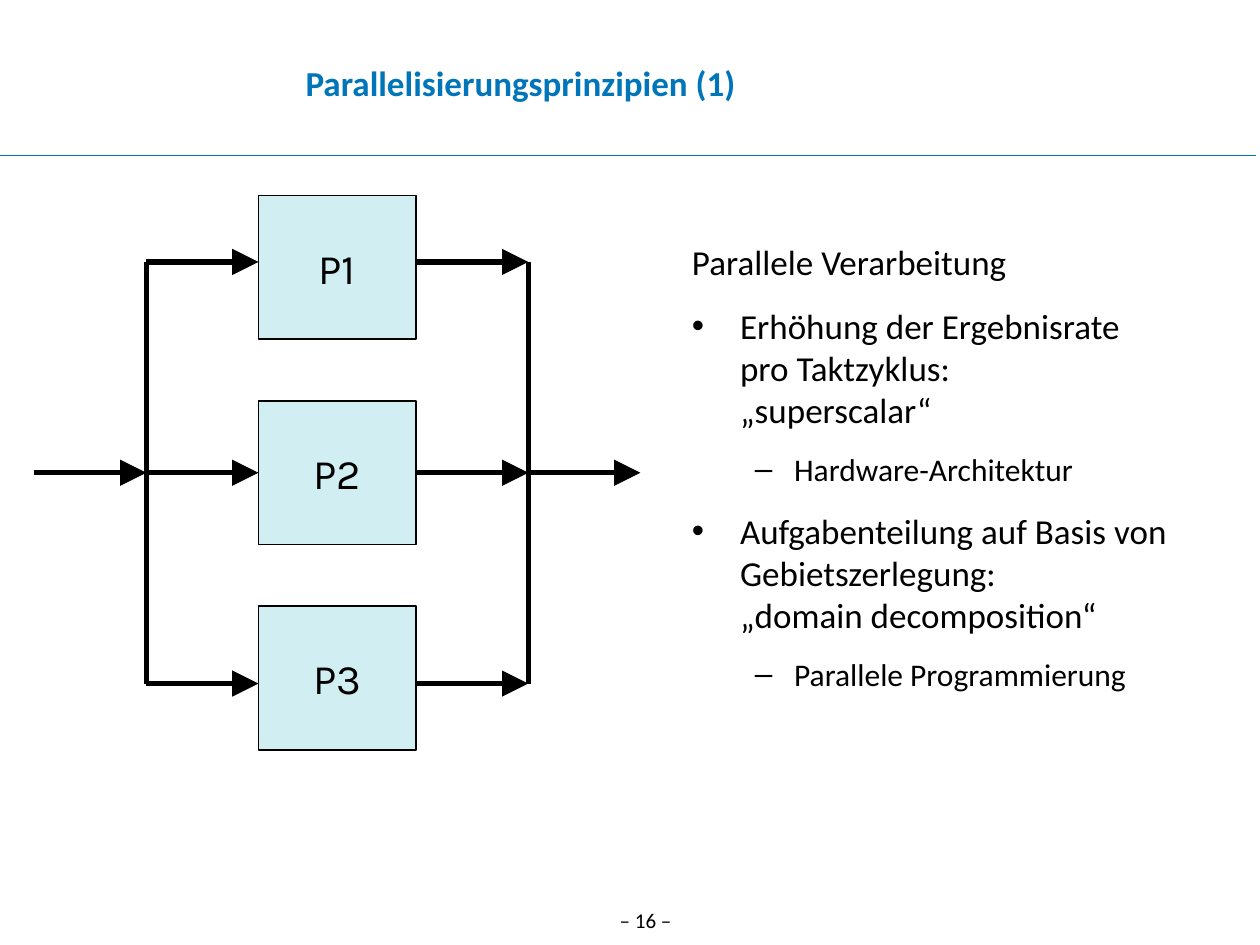
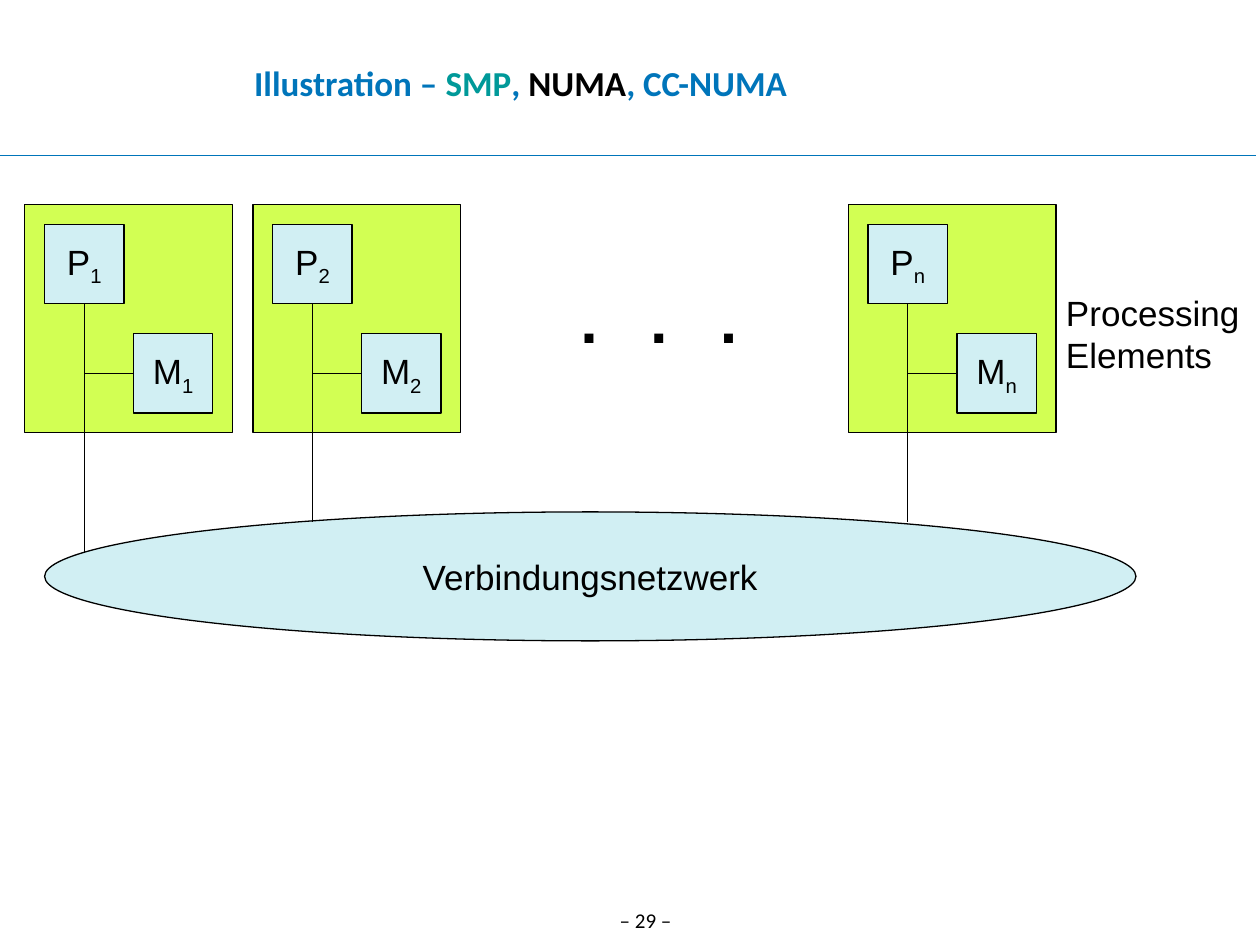
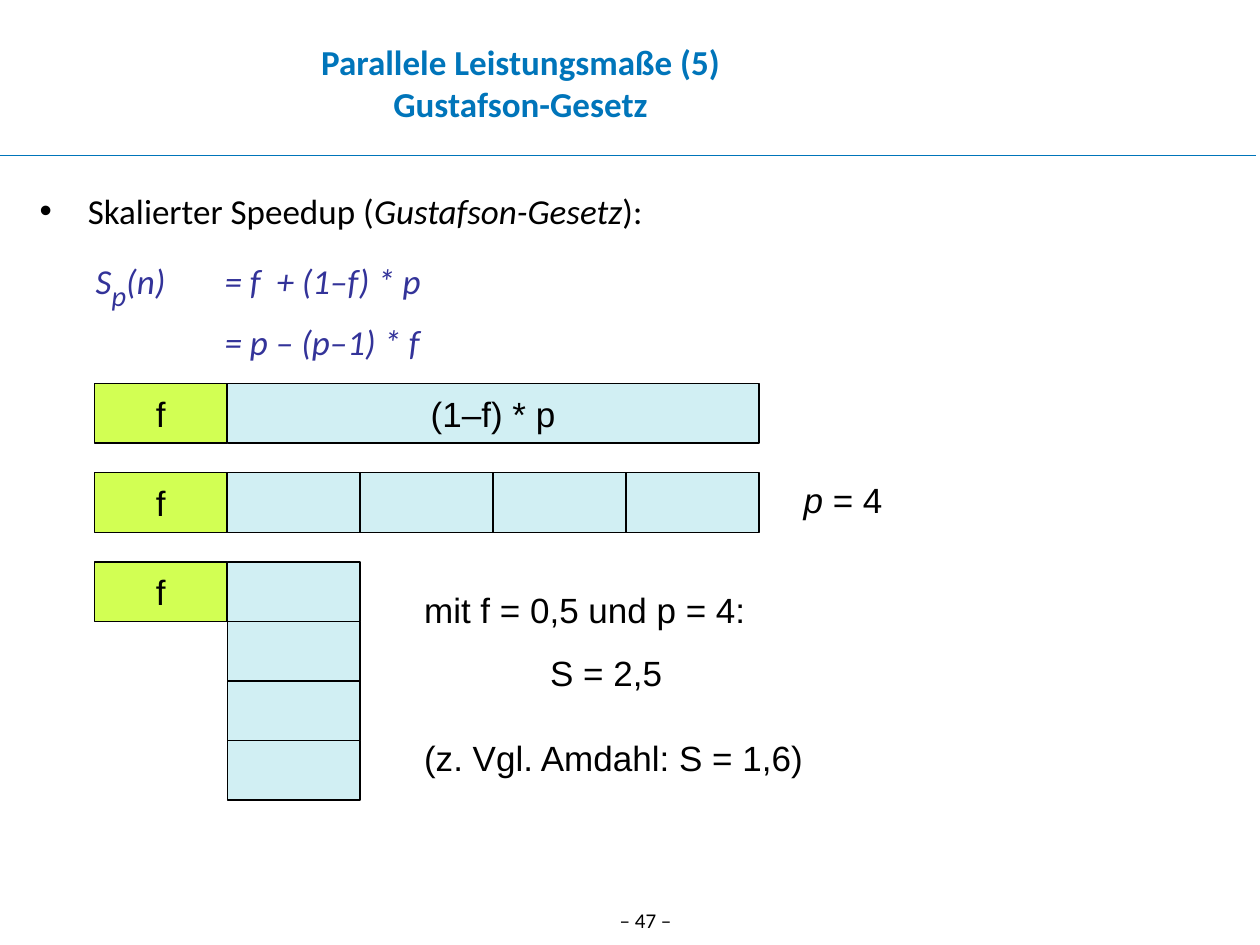
from lxml.etree import SubElement
from pptx import Presentation
from pptx.dml.color import RGBColor
from pptx.enum.shapes import MSO_CONNECTOR, MSO_SHAPE
from pptx.enum.text import MSO_ANCHOR as Anchor, PP_ALIGN as Align
from pptx.oxml.ns import qn
from pptx.util import Cm, Pt

BLACK = "000000"
BLUE = "0075BA"
TEAL = "009999"
INDIGO = "333399"
LIME = "D2FF53"
PALE = "D1EFF3"
BODY_FONT = "Calibri"


def colour_of(value):
    """Turn a hex string into a colour."""
    return RGBColor.from_string(value)


def write(paragraph, text, *, size=20, font="Arial", colour=BLACK,
          bold=False, italic=False, baseline=0):
    """Append formatted text to a paragraph, breaking lines at newlines."""
    for index, line in enumerate(text.split("\n")):
        if index:
            paragraph.add_line_break()
        if not line:
            continue
        run = paragraph.add_run()
        run.text = line
        run.font.size = Pt(size)
        run.font.name = font
        run.font.color.rgb = colour_of(colour)
        run.font.bold = bold
        run.font.italic = italic
        if baseline:
            run._r.get_or_add_rPr().set("baseline", str(baseline * 1000))


def add_paragraph(frame, *, align=Align.LEFT, before=0, spacing=None,
                  margin=0, indent=0, bullet=None, tab=None):
    """Start a paragraph, using the empty first one if there is no text yet."""
    first = frame.paragraphs[0]
    paragraph = frame.add_paragraph() if first.runs else first
    paragraph.alignment = align
    paragraph.space_before = Pt(before)
    if spacing:
        paragraph.line_spacing = spacing
    properties = paragraph._p.get_or_add_pPr()
    properties.set("marL", str(Cm(margin)))
    properties.set("indent", str(Cm(indent)))
    if bullet:
        SubElement(properties, qn("a:buFont")).set("typeface", "Arial")
        SubElement(properties, qn("a:buChar")).set("char", bullet)
    if tab:
        stops = SubElement(properties, qn("a:tabLst"))
        stop = SubElement(stops, qn("a:tab"))
        stop.set("pos", str(Cm(tab)))
        stop.set("algn", "l")
    return paragraph


def add_text_box(slide, left, top, width, height):
    """Add an empty text box and return its text frame."""
    box = slide.shapes.add_textbox(Cm(left), Cm(top), Cm(width), Cm(height))
    box.text_frame.word_wrap = True
    return box.text_frame


def add_block(slide, left, top, width, height, fill=PALE, text="", *,
              subscript="", kind=MSO_SHAPE.RECTANGLE, line=0.75, **text_format):
    """Add an outlined shape with a centred label."""
    shape = slide.shapes.add_shape(kind, Cm(left), Cm(top), Cm(width), Cm(height))
    shape.shadow.inherit = False
    shape.fill.solid()
    shape.fill.fore_color.rgb = colour_of(fill)
    shape.line.color.rgb = colour_of(BLACK)
    shape.line.width = Pt(line)
    if text:
        frame = shape.text_frame
        frame.word_wrap = False
        frame.vertical_anchor = Anchor.MIDDLE
        paragraph = add_paragraph(frame, align=Align.CENTER)
        write(paragraph, text, **text_format)
        write(paragraph, subscript, baseline=-25, **text_format)


def add_line(slide, start, end, *, colour=BLACK, width=0.75, arrow=False):
    """Draw a straight line between two points, with an optional arrowhead."""
    connector = slide.shapes.add_connector(
        MSO_CONNECTOR.STRAIGHT, *(Cm(value) for value in (*start, *end)))
    connector.line.color.rgb = colour_of(colour)
    connector.line.width = Pt(width)
    properties = connector._element.spPr
    if arrow:
        head = SubElement(properties.get_or_add_ln(), qn("a:tailEnd"))
        for name, value in (("type", "triangle"), ("w", "lg"), ("len", "lg")):
            head.set(name, value)
    SubElement(properties, qn("a:effectLst"))


def add_slide(presentation, number, title):
    """Add a slide with header line, title runs and page number."""
    slide = presentation.slides.add_slide(presentation.slide_layouts[6])
    add_line(slide, (0, 3.13), (25.32, 3.13), colour=BLUE)
    frame = add_text_box(slide, 11.91, 18.17, 2.21, 0.8)
    write(add_paragraph(frame, align=Align.CENTER), f"– {number} –",
          size=12, font=BODY_FONT)
    frame = add_text_box(slide, 0.5, 0.57, 19.99, 2.2)
    frame.vertical_anchor = Anchor.MIDDLE
    paragraph = add_paragraph(frame, align=Align.CENTER)
    for text, colour in title:
        write(paragraph, text, font=BODY_FONT, colour=colour, bold=True)
    return slide


def add_principles_slide(presentation):
    """Show three parallel processors beside the explanation."""
    slide = add_slide(presentation, 16, [("Parallelisierungsprinzipien (1)", BLUE)])
    frame = add_text_box(slide, 13.7, 4.72, 11.7, 9.6)
    top_level = {"margin": 0.97, "indent": -0.97, "before": 12.5}
    point = {**top_level, "bullet": "•"}
    detail = {"margin": 2.06, "indent": -0.79, "before": 11.2, "bullet": "–"}
    for text, size, layout in (
        ("Parallele Verarbeitung", 20, top_level),
        ("Erhöhung der Ergebnisrate\npro Taktzyklus:\n„superscalar“", 20, point),
        ("Hardware-Architektur", 18, detail),
        ("Aufgabenteilung auf Basis von Gebietszerlegung:\n„domain decomposition“",
         20, point),
        ("Parallele Programmierung", 18, detail),
    ):
        write(add_paragraph(frame, **layout), text, size=size, font=BODY_FONT)

    box_left, box_width, arrow_length = 5.21, 3.18, 2.26
    box_right = box_left + box_width
    fork, join = box_left - arrow_length, box_right + arrow_length
    rows = [5.28 + 4.25 * index for index in range(3)]
    arrows = [(fork - arrow_length, rows[1]), (join, rows[1])]
    for index, row in enumerate(rows):
        add_block(slide, box_left, 3.94 + 4.14 * index, box_width, 2.9,
                  text=f"P{index + 1}", line=1, size=24, font="Karla")
        arrows += [(fork, row), (box_right, row)]
    for left, row in arrows:
        add_line(slide, (left, row), (left + arrow_length, row), width=3, arrow=True)
    for rail in (fork, join):
        add_line(slide, (rail, rows[0]), (rail, rows[-1]), width=3)


def add_processing_element(slide, left, index, network_edge):
    """Draw one processor with its memory and its line to the network."""
    top, side = 4.12, 1.6
    bus, memory_left, memory_top = left + 1.2, left + 2.19, top + 2.61
    branch = memory_top + side / 2
    add_block(slide, left, top, 4.19, 4.6, LIME)
    add_block(slide, left + 0.4, top + 0.4, side, side, text="P", subscript=index)
    add_block(slide, memory_left, memory_top, side, side, text="M", subscript=index)
    add_line(slide, (bus, top + 0.4 + side), (bus, network_edge))
    add_line(slide, (memory_left, branch), (bus, branch))


def add_architecture_slide(presentation):
    """Show processing elements joined by a network."""
    slide = add_slide(presentation, 29, [
        ("Illustration – ", BLUE), ("SMP", TEAL), (", ", BLUE),
        ("NUMA", BLACK), (", CC-NUMA", BLUE)])
    add_block(slide, 0.9, 10.32, 22, 2.6, text="Verbindungsnetzwerk",
              kind=MSO_SHAPE.OVAL)
    for left, index, network_edge in (
            (0.5, "1", 11.13), (5.1, "2", 10.52), (17.1, "n", 10.52)):
        add_processing_element(slide, left, index, network_edge)
    dots = add_text_box(slide, 11.45, 5.54, 4.2, 1.78)
    write(add_paragraph(dots), ".   .   .", size=36, bold=True)
    caption = add_text_box(slide, 21.24, 5.75, 4.16, 1.96)
    for text in ("Processing", "Elements"):
        write(add_paragraph(caption), text)


def add_speedup_slide(presentation):
    """Show the scaled speedup formula and its work bars."""
    slide = add_slide(presentation, 47, [
        ("Parallele Leistungsmaße (5)\nGustafson-Gesetz", BLUE)])
    formula = add_paragraph(
        add_text_box(slide, 0.55, 3.53, 23.55, 3.81), before=12.5, spacing=1.2,
        margin=0.97, indent=-0.97, bullet="•", tab=3.73)
    symbol = {"colour": INDIGO, "italic": True}
    for text, layout in (
        ("Skalierter Speedup (", {}),
        ("Gustafson-Gesetz", {"italic": True}),
        ("):\n ", {}),
        ("S", symbol),
        ("p", {**symbol, "size": 28, "baseline": -25}),
        ("(n)\t= f  + (1–f) * p\n\t= p – (p–1) * f", symbol),
    ):
        write(formula, text, font=BODY_FONT, **layout)

    left, width, height, processors = 1.9, 2.68, 1.2, 4
    parallel_left = left + width
    total_top, split_top, stacked_top = (7.73 + 1.8 * row for row in range(3))
    for top in (total_top, split_top, stacked_top):
        add_block(slide, left, top, width, height, LIME, "f")
    add_block(slide, parallel_left, total_top, processors * width, height,
              text="(1–f) * p")
    for index in range(processors):
        add_block(slide, parallel_left + index * width, split_top, width, height)
        add_block(slide, parallel_left, stacked_top + index * height, width, height)

    count = add_paragraph(add_text_box(slide, 15.95, 9.53, 2.6, 1.12))
    write(count, "p", italic=True)
    write(count, " = 4")
    example = add_text_box(slide, 8.3, 11.73, 14, 4.09)
    for text, margin, before in (
            ("mit f = 0,5 und p = 4:", 0, 12.5),
            ("S = 2,5", 2.54, 12.5),
            ("(z. Vgl. Amdahl: S = 1,6)", 0, 24.5)):
        write(add_paragraph(example, margin=margin, before=before), text)


def main():
    """Build the three slides and save them."""
    presentation = Presentation()
    presentation.slide_width = Cm(25.4)
    presentation.slide_height = Cm(19.05)
    add_principles_slide(presentation)
    add_architecture_slide(presentation)
    add_speedup_slide(presentation)
    presentation.save("out.pptx")


if __name__ == "__main__":
    main()
